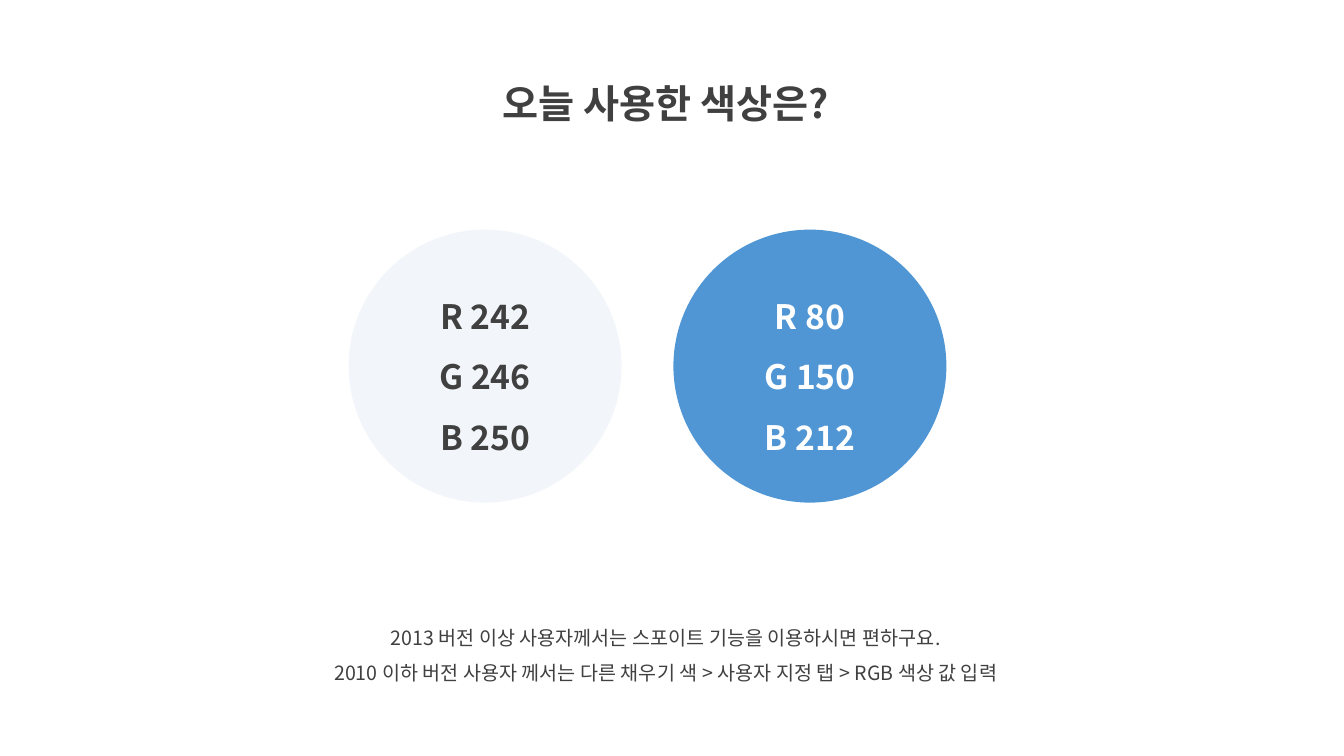
from dataclasses import dataclass

from lxml import etree
from pptx import Presentation
from pptx.dml.color import RGBColor
from pptx.enum import shapes, text
from pptx.oxml.ns import qn
from pptx.util import Pt


@dataclass(frozen=True)
class Theme:
    """Colours, type sizes and font of the deck."""
    font: str = "Noto Sans CJK KR"
    ink: RGBColor = RGBColor(64, 64, 64)
    white: RGBColor = RGBColor(255, 255, 255)
    pale: RGBColor = RGBColor(242, 246, 250)
    blue: RGBColor = RGBColor(80, 150, 212)
    title: int = 28
    swatch: int = 24
    note: int = 14
    spacing: float = 1.5


THEME = Theme()


def write_lines(frame, lines, size, color, bold=False):
    """Fill a text frame with centred, evenly spaced lines."""
    frame.word_wrap = True
    frame.text = "\n".join(lines)
    for para in frame.paragraphs:
        para.alignment = text.PP_ALIGN.CENTER
        para.line_spacing = THEME.spacing
        para.space_before = para.space_after = Pt(0)
        font = para.font
        font.size = Pt(size)
        font.bold = bold
        font.color.rgb = color
        font.name = THEME.font
        latin = para._p.pPr.find(qn("a:defRPr")).find(qn("a:latin"))
        east_asian = etree.Element(qn("a:ea"), typeface=THEME.font)
        latin.addnext(east_asian)


def place_text(holder, box, lines, size, bold=False):
    """Move a placeholder to a box and write its lines without bullets."""
    holder.left, holder.top, holder.width, holder.height = map(Pt, box)
    frame = holder.text_frame
    frame.auto_size = text.MSO_AUTO_SIZE.SHAPE_TO_FIT_TEXT
    frame.vertical_anchor = text.MSO_ANCHOR.TOP
    write_lines(frame, lines, size, THEME.ink, bold)
    for para in frame.paragraphs:
        properties = para._p.pPr
        properties.set("marL", "0")
        properties.set("indent", "0")
        no_bullet = etree.Element(qn("a:buNone"))
        properties.find(qn("a:defRPr")).addprevious(no_bullet)


def add_swatches(page, box, swatches):
    """Spread colour circles from edge to edge of a box, labelled with RGB."""
    left, top, width, diameter = box
    step = (width - diameter) / (len(swatches) - 1)
    for index, (fill, ink) in enumerate(swatches):
        circle = page.shapes.add_shape(
            shapes.MSO_SHAPE.OVAL, Pt(left + index * step), Pt(top),
            Pt(diameter), Pt(diameter))
        circle.shadow.inherit = False
        circle.fill.solid()
        circle.fill.fore_color.rgb = fill
        circle.line.fill.background()
        circle.text_frame.vertical_anchor = text.MSO_ANCHOR.MIDDLE
        labels = [f"{channel} {value}" for channel, value in zip("RGB", fill)]
        write_lines(circle.text_frame, labels, THEME.swatch, ink, bold=True)


def add_color_page(deck):
    """Add the slide that lists the colours in use."""
    page = deck.slides.add_slide(deck.slide_layouts[1])
    title, note = page.placeholders
    place_text(title, (309, 36, 333, 52), ["오늘 사용한 색상은?"],
               THEME.title, bold=True)
    place_text(note, (188, 435, 575, 58), [
        "2013 버전 이상 사용자께서는 스포이트 기능을 이용하시면 편하구요.",
        "2010 이하 버전 사용자 께서는 다른 채우기 색 > 사용자 지정 탭 > RGB 색상 값 입력",
    ], THEME.note)
    add_swatches(page, (249, 164, 427, 195),
                 [(THEME.pale, THEME.ink), (THEME.blue, THEME.white)])


def main():
    """Build and save the deck."""
    deck = Presentation()
    deck.slide_width, deck.slide_height = Pt(960), Pt(540)
    add_color_page(deck)
    deck.save("out.pptx")


if __name__ == "__main__":
    main()
